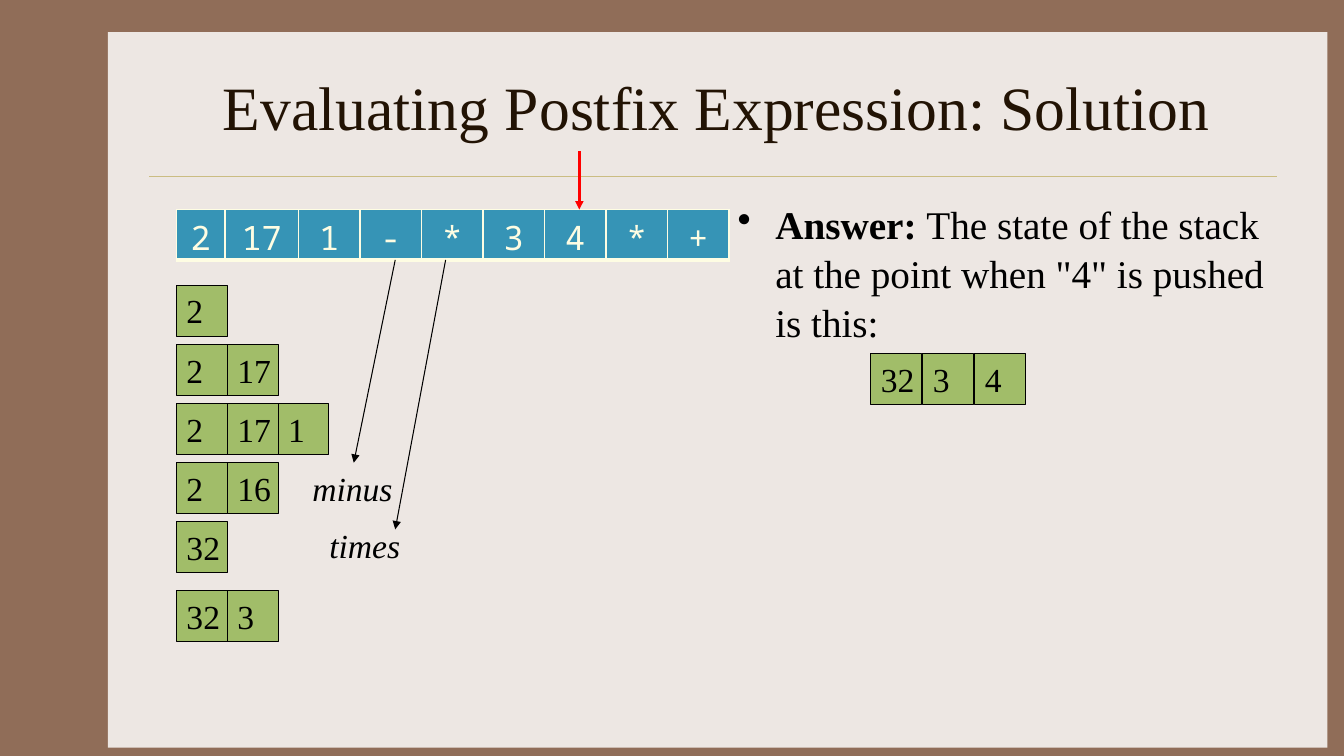
from dataclasses import dataclass

import pptx
import pptx.dml.color
import pptx.enum.shapes
import pptx.enum.text
import pptx.oxml
import pptx.oxml.ns
import pptx.util
from pptx.util import Cm

RGBColor = pptx.dml.color.RGBColor
BROWN = RGBColor(0x90, 0x6D, 0x58)
PAPER = RGBColor(0xED, 0xE7, 0xE3)
RULE = RGBColor(0xCB, 0xBD, 0x83)
TITLE = RGBColor(0x22, 0x13, 0x04)
BLACK = RGBColor(0, 0, 0)
RED = RGBColor(0xFF, 0, 0)
BLUE = RGBColor(0x36, 0x94, 0xB6)
CREAM = RGBColor(0xFE, 0xFD, 0xE3)
GREEN = RGBColor(0xA1, 0xBD, 0x69)
SERIF = "Times New Roman"
MONO = "Noto Sans Mono"
ALIGN = pptx.enum.text.PP_ALIGN
ANCHOR = pptx.enum.text.MSO_ANCHOR
RECTANGLE = pptx.enum.shapes.MSO_SHAPE.RECTANGLE
BOX_SIZE = 1.28


@dataclass
class Stack:
    left: float
    top: float
    values: list[str]
    step: float = BOX_SIZE


@dataclass
class Label:
    left: float
    top: float
    width: float
    text: str


@dataclass
class Line:
    start: tuple[float, float]
    end: tuple[float, float]
    color: RGBColor
    weight: float
    arrow: bool = True


TOKENS = ["2", "17", "1", "-", "*", "3", "4", "*", "+"]
TOKEN_WIDTHS = [1.22, 1.85] + [1.55] * 7
PUSH_STATES = [["2"], ["2", "17"], ["2", "17", "1"], ["2", "16"], ["32"]]
STACKS = [Stack(4.45, 7.19 + 1.49 * row, values) for row, values in enumerate(PUSH_STATES)]
STACKS += [Stack(4.45, 14.88, ["32", "3"]), Stack(21.95, 8.92, ["32", "3", "4"], 1.31)]
MINUS = Label(7.62, 11.66, 2.59, "minus")
TIMES = Label(8.05, 13.11, 2.31, "times")
TITLE_RULE = Line((3.76, 4.45), (32.18, 4.45), RULE, 0.25, arrow=False)
CURRENT_TOKEN = Line((14.6, 3.81), (14.6, 5.28), RED, 2)
MINUS_ARROW = Line((9.96, 6.55), (8.92, 11.66), BLACK, 0.75)
TIMES_ARROW = Line((11.23, 6.55), (9.96, 13.34), BLACK, 0.75)


def add_run(paragraph, text: str, size: float, color: RGBColor, font: str = SERIF,
            bold: bool = False, italic: bool = False) -> None:
    run = paragraph.add_run()
    run.text = text
    run.font.name = font
    run.font.size = pptx.util.Pt(size)
    run.font.color.rgb = color
    run.font.bold = bold
    run.font.italic = italic


def add_rectangle(slide, left: float, top: float, width: float, height: float, fill: RGBColor):
    shape = slide.shapes.add_shape(RECTANGLE, Cm(left), Cm(top), Cm(width), Cm(height))
    shape.shadow.inherit = False
    shape.fill.solid()
    shape.fill.fore_color.rgb = fill
    shape.line.fill.background()
    return shape


def add_line(slide, line: Line):
    connector = slide.shapes.add_connector(
        pptx.enum.shapes.MSO_CONNECTOR.STRAIGHT, *map(Cm, line.start + line.end))
    connector.line.color.rgb = line.color
    connector.line.width = pptx.util.Pt(line.weight)
    if line.arrow:
        outline = connector.line._get_or_add_ln()
        pptx.oxml.ns.qn("a:tailEnd")
        outline.append(outline.makeelement(pptx.oxml.ns.qn("a:tailEnd"), {"type": "triangle"}))
    properties = connector._element.spPr
    properties.append(properties.makeelement(pptx.oxml.ns.qn("a:effectLst"), {}))
    return connector


def add_stack(slide, stack: Stack) -> None:
    for index, value in enumerate(stack.values):
        box = add_rectangle(slide, stack.left + index * stack.step, stack.top,
                            BOX_SIZE, BOX_SIZE, GREEN)
        box.line.color.rgb = BLACK
        box.line.width = pptx.util.Pt(0.75)
        box.text_frame.word_wrap = False
        box.text_frame.vertical_anchor = ANCHOR.TOP
        paragraph = box.text_frame.paragraphs[0]
        paragraph.alignment = ALIGN.LEFT
        add_run(paragraph, value, 24, BLACK)


def add_label(slide, label: Label):
    shape = slide.shapes.add_textbox(Cm(label.left), Cm(label.top), Cm(label.width), Cm(1.28))
    shape.text_frame.word_wrap = False
    shape.text_frame.auto_size = pptx.enum.text.MSO_AUTO_SIZE.SHAPE_TO_FIT_TEXT
    add_run(shape.text_frame.paragraphs[0], label.text, 24, BLACK, italic=True)
    return shape


def add_title(slide) -> None:
    shape = slide.shapes.add_textbox(Cm(3.96), Cm(1.07), Cm(28.22), Cm(3.18))
    shape.text_frame.word_wrap = True
    shape.text_frame.vertical_anchor = ANCHOR.MIDDLE
    paragraph = shape.text_frame.paragraphs[0]
    paragraph.alignment = ALIGN.CENTER
    add_run(paragraph, "Evaluating Postfix Expression: Solution", 44, TITLE)


def add_answer(slide) -> None:
    shape = slide.shapes.add_textbox(Cm(18.34), Cm(4.88), Cm(13.82), Cm(11.43))
    shape.text_frame.word_wrap = True
    paragraph = shape.text_frame.paragraphs[0]
    properties = paragraph._p.get_or_add_pPr()
    properties.set("marL", str(Cm(0.95)))
    properties.set("indent", str(Cm(-0.95)))
    properties.append(properties.makeelement(pptx.oxml.ns.qn("a:buChar"), {"char": "•"}))
    paragraph.line_spacing = 1.04
    add_run(paragraph, "Answer: ", 28, BLACK, bold=True)
    add_run(paragraph, 'The state of the stack at the point when "4" is pushed is this:', 28, BLACK)


def add_borders(cell) -> None:
    properties = cell._tc.get_or_add_tcPr()
    for index, (side, weight) in enumerate([("L", 1), ("R", 1), ("T", 1), ("B", 3)]):
        properties.insert(index, pptx.oxml.parse_xml(
            f'<a:ln{side} {pptx.oxml.ns.nsdecls("a")} w="{pptx.util.Pt(weight)}">'
            f'<a:solidFill><a:srgbClr val="{CREAM}"/></a:solidFill></a:ln{side}>'))


def add_expression(slide) -> None:
    frame = slide.shapes.add_table(1, len(TOKENS), Cm(4.45), Cm(5.28),
                                   Cm(sum(TOKEN_WIDTHS)), Cm(1.25))
    table = frame.table
    table.first_row = False
    table.horz_banding = False
    for column, (token, width) in enumerate(zip(TOKENS, TOKEN_WIDTHS)):
        table.columns[column].width = Cm(width)
        cell = table.cell(0, column)
        cell.fill.solid()
        cell.fill.fore_color.rgb = BLUE
        add_borders(cell)
        paragraph = cell.text_frame.paragraphs[0]
        paragraph.alignment = ALIGN.CENTER
        add_run(paragraph, token, 24, CREAM, MONO)


def main() -> None:
    presentation = pptx.Presentation()
    presentation.slide_width = Cm(33.87)
    presentation.slide_height = Cm(19.05)
    slide = presentation.slides.add_slide(presentation.slide_layouts[6])
    slide.background.fill.solid()
    slide.background.fill.fore_color.rgb = BROWN
    add_rectangle(slide, 2.72, 0.81, 30.73, 18.03, PAPER)
    add_line(slide, TITLE_RULE)
    add_title(slide)
    add_answer(slide)
    add_expression(slide)
    add_line(slide, CURRENT_TOKEN)
    for stack in STACKS:
        add_stack(slide, stack)
    minus = add_label(slide, MINUS)
    add_line(slide, MINUS_ARROW).end_connect(minus, 0)
    add_label(slide, TIMES)
    add_line(slide, TIMES_ARROW)
    presentation.save("out.pptx")


if __name__ == "__main__":
    main()
